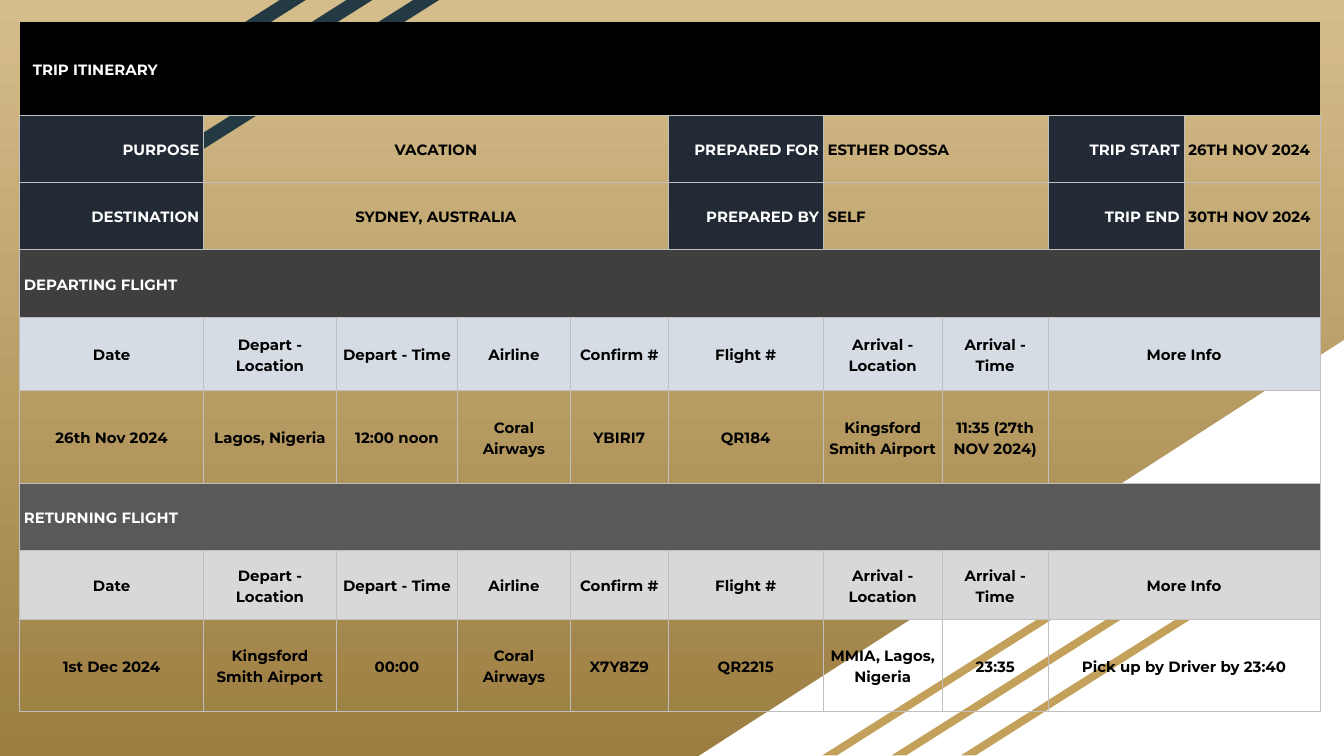
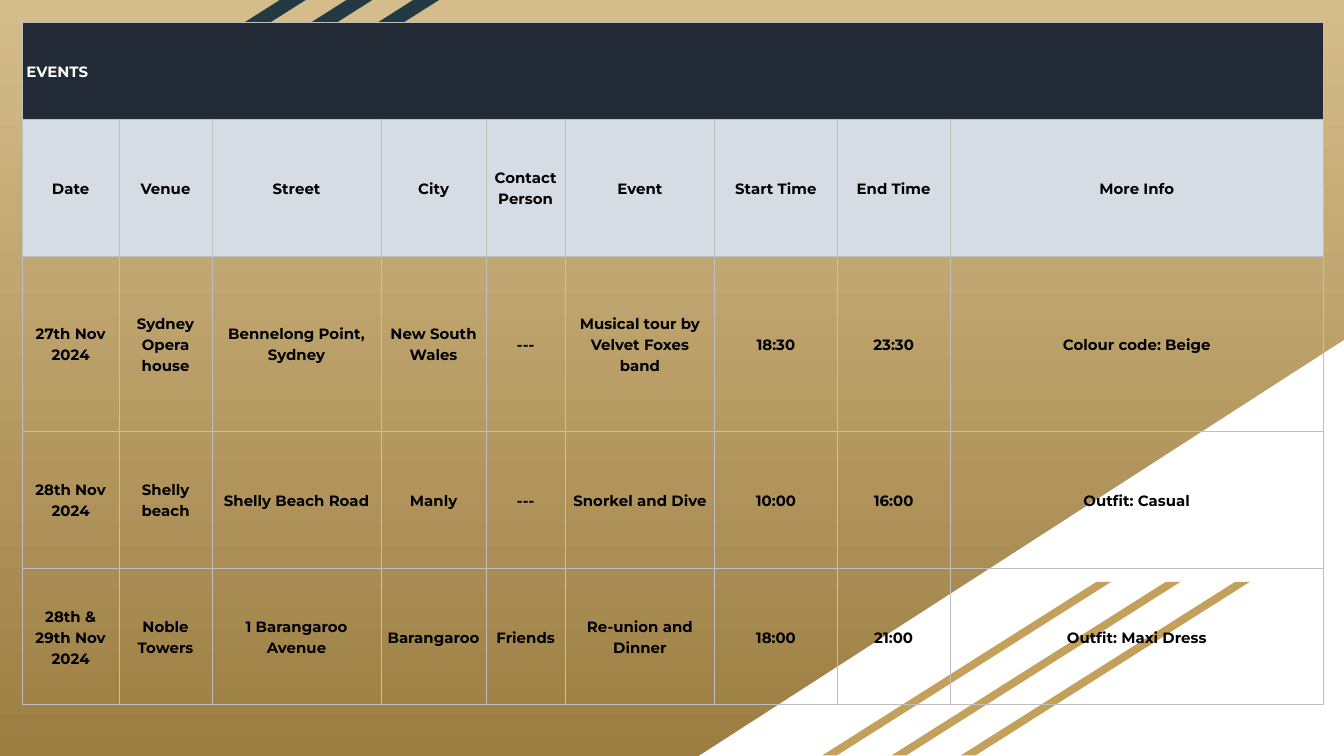
from pptx import Presentation
from pptx.dml.color import RGBColor
from pptx.enum import shapes, text
from pptx.oxml import parse_xml
from pptx.oxml.ns import nsdecls
from pptx.util import Cm, Pt

FONT = "Montserrat"
WHITE = RGBColor(0xFF, 0xFF, 0xFF)
BLACK = RGBColor(0x00, 0x00, 0x00)
SAND = RGBColor(0xD5, 0xBD, 0x8B)
BRONZE = RGBColor(0x9C, 0x7E, 0x42)
GOLD = RGBColor(0xC4, 0xA1, 0x5A)
TEAL = RGBColor(0x23, 0x3A, 0x44)
NAVY = RGBColor(0x22, 0x2A, 0x35)
CHARCOAL = RGBColor(0x3F, 0x3F, 0x3F)
GREY = RGBColor(0x59, 0x59, 0x59)
PALE_BLUE = RGBColor(0xD6, 0xDC, 0xE4)
PALE_GREY = RGBColor(0xD8, 0xD8, 0xD8)
RULE = RGBColor(0xBF, 0xBF, 0xBF)
DARK_FILLS = (BLACK, NAVY, CHARCOAL, GREY)

LEFT, CENTER, RIGHT = text.PP_ALIGN.LEFT, text.PP_ALIGN.CENTER, text.PP_ALIGN.RIGHT

# Row kinds: column spans and alignments of the cells
KINDS = {
    "title": ((1,) * 10, (LEFT,) * 10),
    "facts": ((1, 4, 1, 2, 1, 1), (RIGHT, CENTER, RIGHT, LEFT, RIGHT, LEFT)),
    "section": ((10,), (LEFT,)),
    "list": ((1,) * 8 + (2,), (CENTER,) * 9),
}

# Content: each row is kind, height in cm, fill, cell texts
FLIGHT_HEADS = ["Date", "Depart - Location", "Depart - Time", "Airline", "Confirm #",
                "Flight #", "Arrival - Location", "Arrival - Time", "More Info"]
ITINERARY = {
    "left": 0.37, "top": 0.42,
    "columns": [3.48, 2.51, 2.29, 2.13, 1.85, 2.93, 2.25, 2.0, 2.57, 2.57],
    "rows": [
        ("title", 1.76, BLACK, ["TRIP ITINERARY"] + [""] * 9),
        ("facts", 1.27, NAVY, ["PURPOSE", "VACATION", "PREPARED FOR", "ESTHER DOSSA",
                               "TRIP START", "26TH NOV 2024"]),
        ("facts", 1.27, NAVY, ["DESTINATION", "SYDNEY, AUSTRALIA", "PREPARED BY", "SELF",
                               "TRIP END", "30TH NOV 2024"]),
        ("section", 1.28, CHARCOAL, ["DEPARTING FLIGHT"]),
        ("list", 1.38, PALE_BLUE, FLIGHT_HEADS),
        ("list", 1.76, None, ["26th Nov 2024", "Lagos, Nigeria", "12:00 noon",
                              "Coral Airways", "YBIRI7", "QR184",
                              "Kingsford Smith Airport", "11:35 (27th NOV 2024)", ""]),
        ("section", 1.27, GREY, ["RETURNING FLIGHT"]),
        ("list", 1.3, PALE_GREY, FLIGHT_HEADS),
        ("list", 1.74, None, ["1st Dec 2024", "Kingsford Smith Airport", "00:00",
                              "Coral Airways", "X7Y8Z9", "QR2215",
                              "MMIA, Lagos, Nigeria", "23:35",
                              "Pick up by Driver by 23:40"]),
    ],
}
EVENTS = {
    "left": 0.42, "top": 0.43,
    "columns": [1.83, 1.76, 3.19, 1.99, 1.49, 2.83, 2.31, 2.14, 1.07, 5.98],
    "rows": [
        ("section", 1.82, NAVY, ["EVENTS"]),
        ("list", 2.59, PALE_BLUE, ["Date", "Venue", "Street", "City", "Contact Person",
                                   "Event", "Start Time", "End Time", "More Info"]),
        ("list", 3.31, None, ["27th Nov 2024", "Sydney Opera house",
                              "Bennelong Point, Sydney", "New South Wales", "---",
                              "Musical tour by Velvet Foxes band", "18:30", "23:30",
                              "Colour code: Beige"]),
        ("list", 2.59, None, ["28th Nov 2024", "Shelly beach", "Shelly Beach Road",
                              "Manly", "---", "Snorkel and Dive", "10:00", "16:00",
                              "Outfit: Casual"]),
        ("list", 2.58, None, ["28th & 29th Nov 2024", "Noble Towers",
                              "1 Barangaroo Avenue", "Barangaroo", "Friends",
                              "Re-union and Dinner", "18:00", "21:00",
                              "Outfit: Maxi Dress"]),
    ],
}

# Stripe groups: rightmost left edge, step, top, width, height, colour
STRIPES = [
    (18.16, 1.31, 11.0, 5.46, 3.28, GOLD),
    (3.07, 1.26, 0, 5.23, 3.0, TEAL),
]


def add_plain_shape(parent, preset, left, top, width, height, color):
    shape = parent.shapes.add_shape(preset, Cm(left), Cm(top), Cm(width), Cm(height))
    shape.shadow.inherit = False
    shape.fill.solid()
    shape.fill.fore_color.rgb = color
    shape.line.fill.background()
    return shape


def add_backdrop(slide):
    fill = slide.background.fill
    fill.gradient()
    fill.gradient_angle = 270
    for stop, color in zip(fill.gradient_stops, (SAND, BRONZE)):
        stop.color.rgb = color

    corner = add_plain_shape(slide, shapes.MSO_SHAPE.RIGHT_TRIANGLE,
                             13.21, 6.43, 12.19, 7.86, WHITE)
    corner._element.spPr.xfrm.set("flipH", "1")

    for left, step, top, width, height, color in STRIPES:
        group = slide.shapes.add_group_shape()
        for index in range(3):
            stripe = add_plain_shape(group, shapes.MSO_SHAPE.PARALLELOGRAM,
                                     left - index * step, top, width, height, color)
            stripe.adjustments[0] = 1.58


def set_borders(cell, sides):
    properties = cell._tc.get_or_add_tcPr()
    for side in "LRTB":
        if side in sides:
            properties.append(parse_xml(
                f'<a:ln{side} {nsdecls("a")} w="{Pt(0.45)}"><a:solidFill>'
                f'<a:srgbClr val="{sides[side]}"/></a:solidFill></a:ln{side}>'))


def title_borders(column):
    sides = {"B": RULE}
    if column == 0:
        sides["R"] = BLACK
    elif column == 1:
        sides["L"] = BLACK
    return sides


def fill_cell(cell, words, align, fill, side_inset):
    cell.vertical_anchor = text.MSO_ANCHOR.MIDDLE
    cell.margin_left = cell.margin_right = Cm(side_inset)
    cell.margin_top = cell.margin_bottom = Cm(0.25)
    if fill is None:
        cell.fill.background()
    else:
        cell.fill.solid()
        cell.fill.fore_color.rgb = fill
    cell.text_frame.text = words
    paragraph = cell.text_frame.paragraphs[0]
    paragraph.alignment = align
    paragraph.line_spacing = 1.15
    for run in paragraph.runs:
        run.font.name = FONT
        run.font.size = Pt(8)
        run.font.bold = True
        run.font.color.rgb = WHITE if fill in DARK_FILLS else BLACK


def add_schedule(slide, schedule):
    columns, rows = schedule["columns"], schedule["rows"]
    table = slide.shapes.add_table(
        len(rows), len(columns), Cm(schedule["left"]), Cm(schedule["top"]),
        Cm(sum(columns)), Cm(sum(row[1] for row in rows))).table
    table.first_row = table.horz_banding = False
    # Plain style without its own lines
    table._tbl.tblPr[0].text = "{2D5ABB26-0587-4C30-8999-92F81FD0307C}"
    for column, width in zip(table.columns, columns):
        column.width = Cm(width)

    for row_index, (kind, height, fill, words) in enumerate(rows):
        table.rows[row_index].height = Cm(height)
        for column in range(len(columns)):
            set_borders(table.cell(row_index, column),
                        title_borders(column) if kind == "title"
                        else dict.fromkeys("LRTB", RULE))
        column = 0
        for index, (span, align, words_here) in enumerate(zip(*KINDS[kind], words)):
            cell = table.cell(row_index, column)
            if span > 1:
                cell.merge(table.cell(row_index, column + span - 1))
            is_value = kind == "facts" and index % 2
            fill_cell(cell, words_here, align, None if is_value else fill,
                      0.25 if kind == "title" else 0.08)
            column += span


def main():
    presentation = Presentation()
    presentation.slide_width, presentation.slide_height = Cm(25.4), Cm(14.29)
    for schedule in (ITINERARY, EVENTS):
        slide = presentation.slides.add_slide(presentation.slide_layouts[6])
        add_backdrop(slide)
        add_schedule(slide, schedule)
    presentation.save("out.pptx")


if __name__ == "__main__":
    main()
